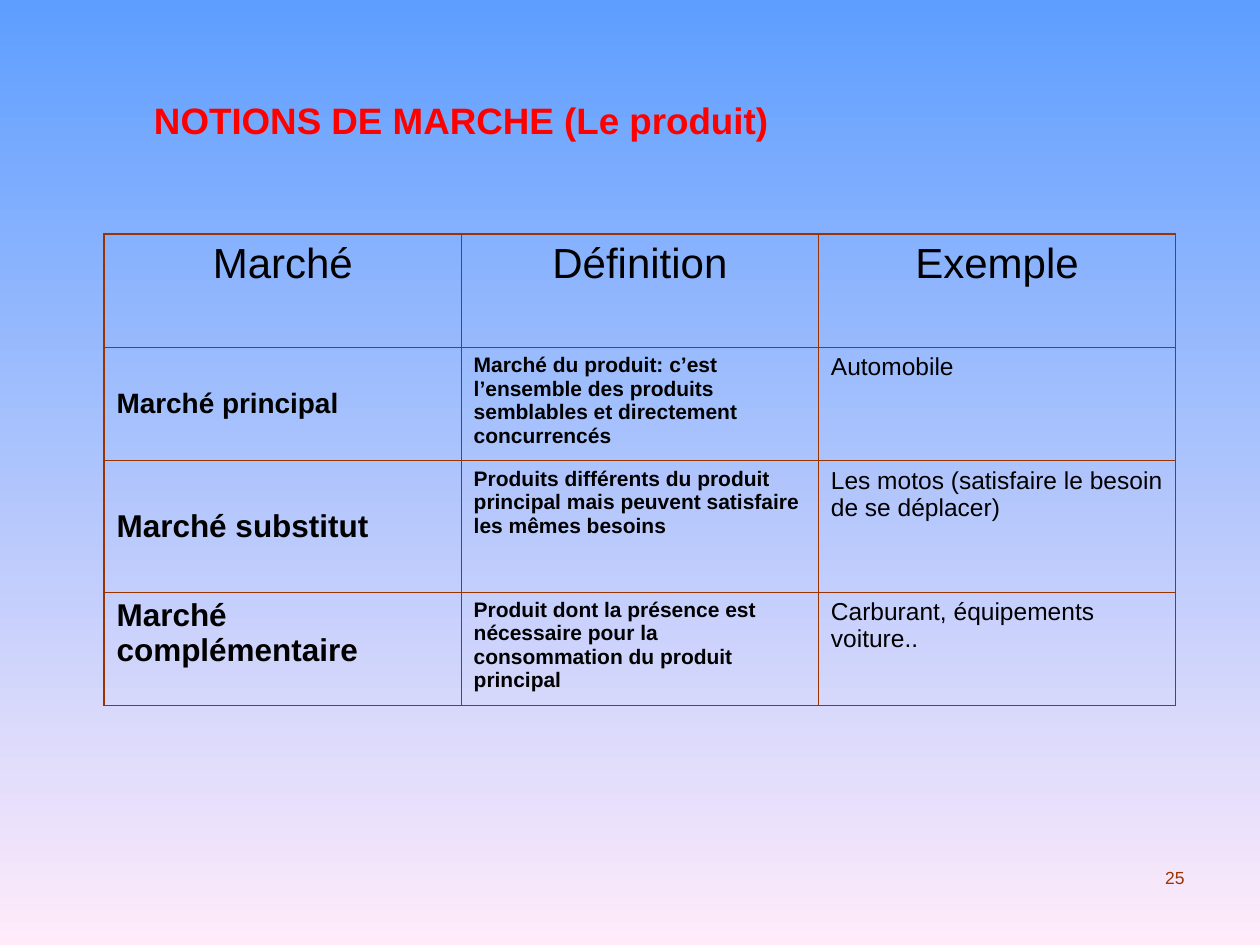
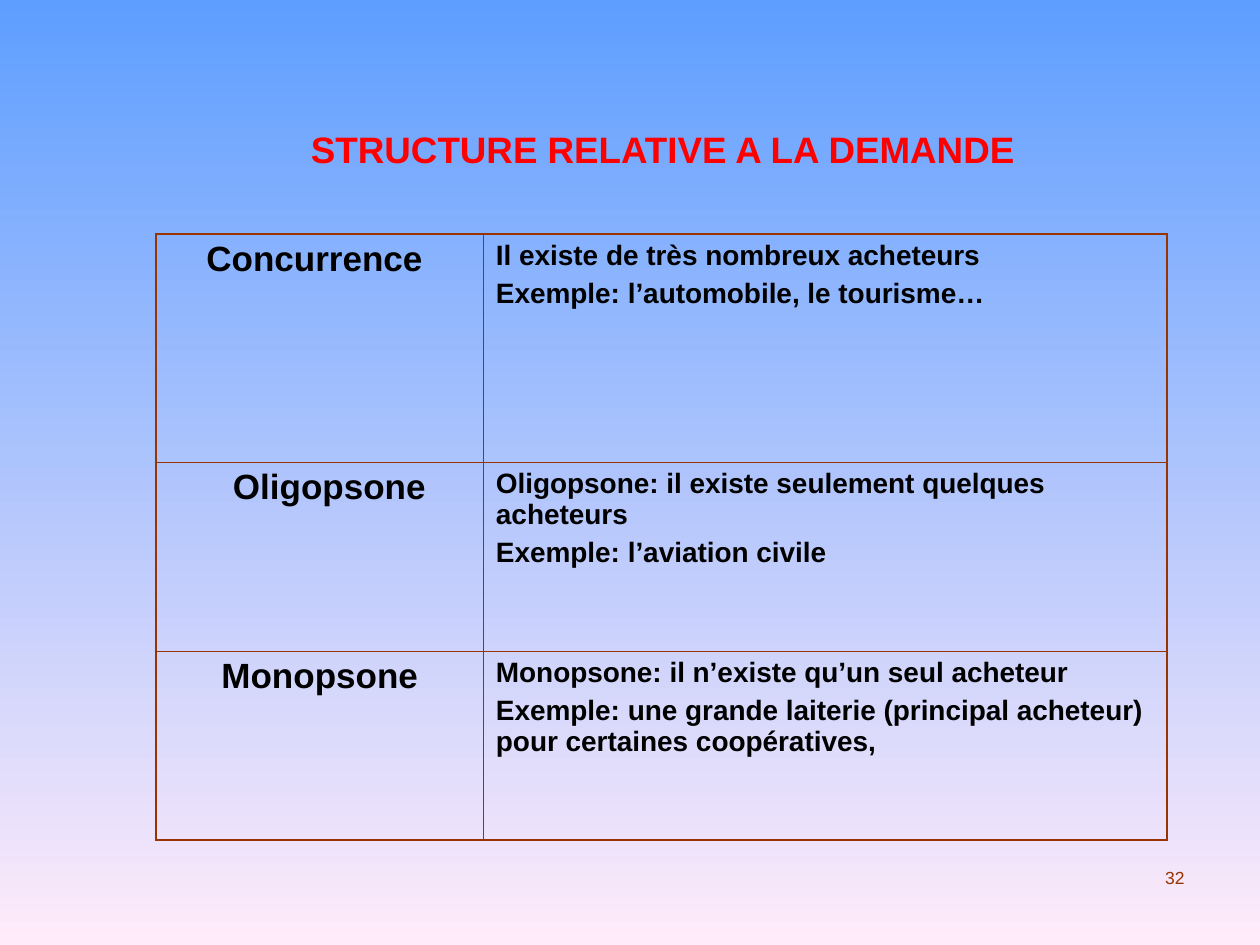
from dataclasses import dataclass

from lxml.etree import SubElement
from pptx import Presentation
from pptx.dml.color import RGBColor
from pptx.enum.text import MSO_ANCHOR, MSO_AUTO_SIZE, PP_ALIGN
from pptx.oxml.ns import qn
from pptx.util import Pt


@dataclass(frozen=True)
class Theme:
    """Colours, font, type sizes and line widths shared by the slides."""
    sky: str = "5E9EFF"
    blush: str = "FFEBFA"
    heading: str = "FF0000"
    ink: str = "000000"
    rust: str = "993300"
    font: str = "Arial"
    title: int = 21
    column_head: int = 24
    structure: int = 20
    market: int = 18
    body: int = 16
    example: int = 14
    definition: int = 12
    page: int = 10
    frame: float = 1.08
    rule: float = 0.45


THEME = Theme()
TABLE_TOP = 133.7


@dataclass(frozen=True)
class Entry:
    """Text of one table cell with its look; nudge shifts it sideways."""
    text: str
    size: int
    bold: bool = True
    align: PP_ALIGN = PP_ALIGN.LEFT
    anchor: MSO_ANCHOR = MSO_ANCHOR.TOP
    nudge: float = 0


def format_text(frame, size, color, bold=False, align=PP_ALIGN.LEFT):
    """Style every paragraph, with a quarter of the size between them."""
    for index, paragraph in enumerate(frame.paragraphs):
        paragraph.alignment = align
        paragraph.space_before = Pt(size / 4 if index else 0)
        for run in paragraph.runs:
            run.font.name = THEME.font
            run.font.size = Pt(size)
            run.font.bold = bold
            run.font.color.rgb = RGBColor.from_string(color)


def paint_background(master):
    """Give all slides the vertical gradient."""
    fill = master.background.fill
    fill.gradient()
    fill.gradient_angle = 270
    for stop, color in zip(fill.gradient_stops, (THEME.sky, THEME.blush)):
        stop.color.rgb = RGBColor.from_string(color)


def add_title(slide, text, box, indent, bottom):
    """Place the title in its box, set in from the left and the bottom."""
    title = slide.shapes.title
    title.left, title.top, title.width, title.height = map(Pt, box)
    frame = title.text_frame
    frame.text = text
    frame.word_wrap = True
    frame.auto_size = MSO_AUTO_SIZE.NONE
    frame.vertical_anchor = MSO_ANCHOR.BOTTOM
    frame.margin_left = Pt(indent)
    frame.margin_bottom = Pt(bottom)
    format_text(frame, THEME.title, THEME.heading, bold=True)


def add_page_number(slide, number):
    """Write the page number at the lower right."""
    frame = slide.shapes.add_textbox(Pt(534), Pt(492), Pt(150), Pt(36)).text_frame
    frame.word_wrap = True
    frame.text = str(number)
    format_text(frame, THEME.page, THEME.rust, align=PP_ALIGN.RIGHT)


def draw_borders(cell, outer_sides):
    """Line a cell, heavier on the sides that frame the table."""
    properties = cell._tc.get_or_add_tcPr()
    for side in "LRTB":
        width = THEME.frame if side in outer_sides else THEME.rule
        line = SubElement(properties, qn(f"a:ln{side}"), w=str(Pt(width)))
        solid = SubElement(line, qn("a:solidFill"))
        SubElement(solid, qn("a:srgbClr"), val=THEME.rust)


def fill_cell(cell, entry):
    """Write an entry into a transparent cell."""
    cell.fill.background()
    cell.vertical_anchor = entry.anchor
    cell.margin_left = Pt(7.2 + max(entry.nudge, 0))
    cell.margin_right = Pt(7 + max(-entry.nudge, 0))
    cell.text_frame.text = entry.text
    format_text(cell.text_frame, entry.size, THEME.ink, entry.bold, entry.align)


def add_grid(slide, left, widths, heights, rows):
    """Build a framed table from rows of entries."""
    table = slide.shapes.add_table(
        len(heights), len(widths), Pt(left), Pt(TABLE_TOP),
        Pt(sum(widths)), Pt(sum(heights))).table
    table.first_row = table.horz_banding = False
    for column, width in zip(table.columns, widths):
        column.width = Pt(width)
    for row, height in zip(table.rows, heights):
        row.height = Pt(height)
    for r, entries in enumerate(rows):
        for c, entry in enumerate(entries):
            edges = {"L": c == 0, "R": c == len(widths) - 1,
                     "T": r == 0, "B": r == len(heights) - 1}
            cell = table.cell(r, c)
            draw_borders(cell, [side for side, outer in edges.items() if outer])
            fill_cell(cell, entry)


def add_market_slide(deck):
    """Compare main, substitute and complementary markets."""
    slide = deck.slides.add_slide(deck.slide_layouts[5])
    add_title(slide, "NOTIONS DE MARCHE (Le produit)",
              (80.6, 22.3, 578, 85.7), indent=7.4, bottom=27)
    headings = [Entry(text, THEME.column_head, False, PP_ALIGN.CENTER)
                for text in ("Marché", "Définition", "Exemple")]
    markets = [
        (Entry("Marché principal", THEME.body, anchor=MSO_ANCHOR.MIDDLE),
         "Marché du produit: c’est l’ensemble des produits semblables et "
         "directement concurrencés",
         "Automobile"),
        (Entry("Marché substitut", THEME.market, anchor=MSO_ANCHOR.MIDDLE),
         "Produits différents du produit principal mais peuvent satisfaire "
         "les mêmes besoins",
         "Les motos (satisfaire le besoin de se déplacer)"),
        (Entry("Marché complémentaire", THEME.market),
         "Produit dont la présence est nécessaire pour la consommation du "
         "produit principal",
         "Carburant, équipements voiture.."),
    ]
    rows = [headings] + [
        [market, Entry(definition, THEME.definition),
         Entry(example, THEME.example, False)]
        for market, definition, example in markets]
    add_grid(slide, 59.4, [204.1] * 3, [64.8, 64.8, 74.9, 65], rows)
    add_page_number(slide, 25)


def add_demand_slide(deck):
    """Describe market structures by number of buyers."""
    slide = deck.slides.add_slide(deck.slide_layouts[5])
    add_title(slide, "STRUCTURE RELATIVE A LA DEMANDE",
              (42.5, 15.1, 612, 90), indent=135.2, bottom=7.7)
    structures = [
        ("Concurrence", -6,
         "Il existe de très nombreux acheteurs\n"
         "Exemple: l’automobile, le tourisme…"),
        ("Oligopsone", 11,
         "Oligopsone: il existe seulement quelques acheteurs\n"
         "Exemple: l’aviation civile"),
        ("Monopsone", 0,
         "Monopsone: il n’existe qu’un seul acheteur\n"
         "Exemple: une grande laiterie (principal acheteur) pour certaines "
         "coopératives,"),
    ]
    rows = [[Entry(name, THEME.structure, align=PP_ALIGN.CENTER, nudge=nudge),
             Entry(description, THEME.body)]
            for name, nudge, description in structures]
    add_grid(slide, 89, [187.2, 390.8], [130.3, 108, 108], rows)
    add_page_number(slide, 32)


def main():
    """Build and save the two slides."""
    deck = Presentation()
    deck.slide_width, deck.slide_height = Pt(720), Pt(540)
    paint_background(deck.slide_master)
    add_market_slide(deck)
    add_demand_slide(deck)
    deck.save("out.pptx")


if __name__ == "__main__":
    main()
